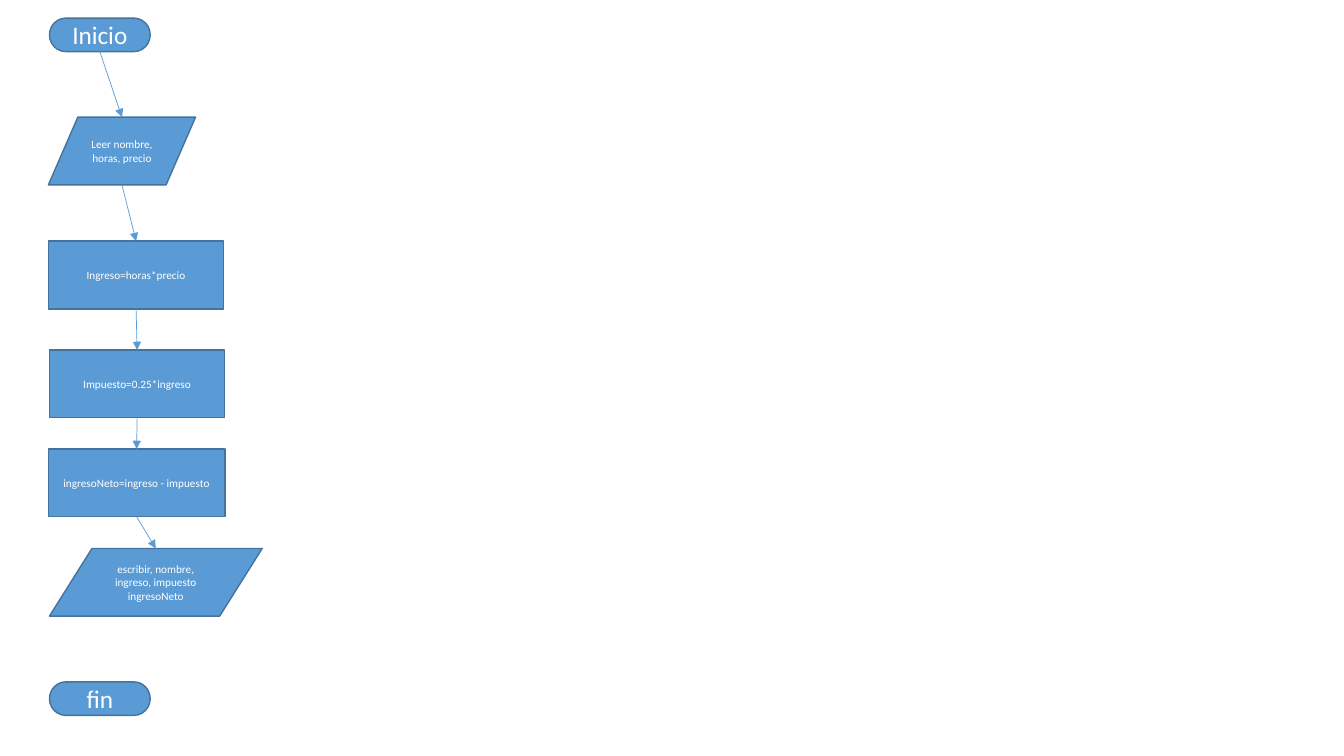
import pptx
import pptx.util
import pptx.dml.color
import pptx.enum.shapes
import pptx.enum.text
import pptx.oxml.ns
import lxml.etree

COLORS = {"fill": "5B9BD5", "outline": "43739E", "text": "FFFFFF"}
FONT = "Calibri"
KINDS = pptx.enum.shapes.MSO_SHAPE

presentation = pptx.Presentation()
presentation.slide_width = pptx.util.Inches(13.33)
presentation.slide_height = pptx.util.Inches(7.5)
slide = presentation.slides.add_slide(presentation.slide_layouts[6])

# Grid: one hundred columns by one hundred rows
column = presentation.slide_width / 100
row = presentation.slide_height / 100
TERMINATOR_ROWS, STEP_ROWS = 4.43, 8.95


def color(name):
    return pptx.dml.color.RGBColor.from_string(COLORS[name])


# Flowchart steps: kind, left, top, columns wide, rows high, font size, text
steps = [
    (KINDS.FLOWCHART_TERMINATOR, 3.68, 2.4, 7.5, TERMINATOR_ROWS, 18, "Inicio"),
    (KINDS.FLOWCHART_DATA, 3.6, 15.5, 10.95, STEP_ROWS, 8, "Leer nombre, horas, precio"),
    (KINDS.FLOWCHART_PROCESS, 3.6, 31.9, 13.05, STEP_ROWS, 8, "Ingreso=horas*precio"),
    (KINDS.FLOWCHART_PROCESS, 3.68, 46.3, 13.05, STEP_ROWS, 8, "Impuesto=0.25*ingreso"),
    (KINDS.FLOWCHART_PROCESS, 3.6, 59.4, 13.13, STEP_ROWS, 8, "ingresoNeto=ingreso - impuesto"),
    (KINDS.FLOWCHART_DATA, 3.68, 72.55, 15.83, STEP_ROWS, 8,
     "escribir, nombre, ingreso, impuesto\ningresoNeto"),
    (KINDS.FLOWCHART_TERMINATOR, 3.68, 90.2, 7.5, TERMINATOR_ROWS, 18, "fin"),
]

step_shapes = []
for kind, left, top, width, height, size, text in steps:
    shape = slide.shapes.add_shape(
        kind, int(left * column), int(top * row), int(width * column), int(height * row))
    shape.shadow.inherit = False
    shape.fill.solid()
    shape.fill.fore_color.rgb = color("fill")
    shape.line.color.rgb = color("outline")
    shape.line.width = pptx.util.Pt(1)
    text_frame = shape.text_frame
    text_frame.text = text
    text_frame.word_wrap = True
    text_frame.vertical_anchor = pptx.enum.text.MSO_ANCHOR.MIDDLE
    for paragraph in text_frame.paragraphs:
        paragraph.alignment = pptx.enum.text.PP_ALIGN.CENTER
        for run in paragraph.runs:
            run.font.name = FONT
            run.font.size = pptx.util.Pt(size)
            run.font.color.rgb = color("text")
    step_shapes.append(shape)

# Arrows from each step to the next; the closing terminator stands alone
flow = step_shapes[:-1]
for start, end in zip(flow, flow[1:]):
    arrow = slide.shapes.add_connector(
        pptx.enum.shapes.MSO_CONNECTOR.STRAIGHT,
        start.left + start.width // 2, start.top + start.height,
        end.left + end.width // 2, end.top)
    arrow.line.color.rgb = color("fill")
    arrow.line.width = pptx.util.Pt(0.5)
    line_element = arrow.line._get_or_add_ln()
    lxml.etree.SubElement(line_element, pptx.oxml.ns.qn("a:tailEnd"), type="triangle")
    lxml.etree.SubElement(arrow._element.spPr, pptx.oxml.ns.qn("a:effectLst"))

presentation.save("out.pptx")
